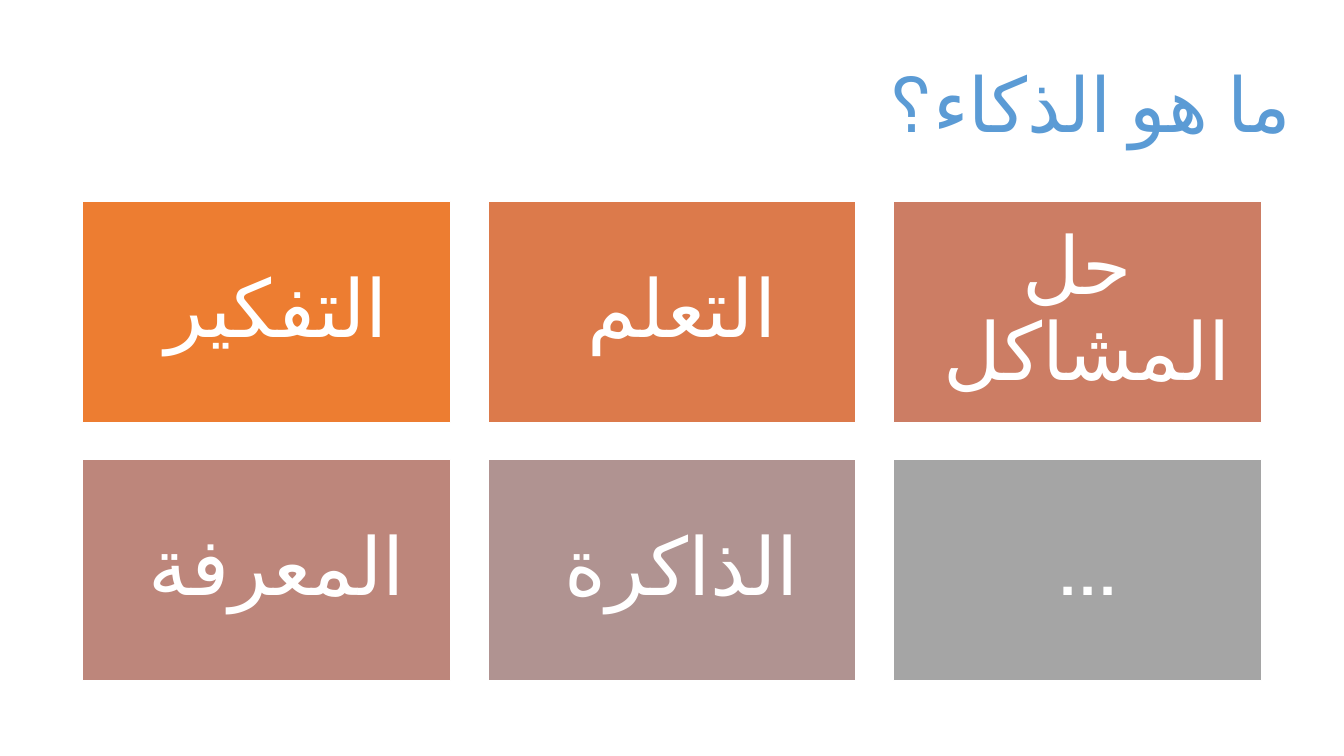
from dataclasses import dataclass

from pptx import Presentation, util as u
from pptx.dml.color import RGBColor
from pptx.enum import lang, shapes, text


@dataclass(frozen=True)
class Theme:
    font: str = "Calibri"
    title_size: int = 54
    card_size: int = 57
    title_color: str = "5B9BD5"
    white: str = "FFFFFF"


@dataclass(frozen=True)
class Grid:
    """Card grid in inches."""
    columns: int = 3
    left: float = 0.82
    top: float = 2.0
    width: float = 3.65
    height: float = 2.19
    gap: float = 0.37

    def cell(self, index):
        row, col = divmod(index, self.columns)
        return [u.Inches(v) for v in (
            self.left + col * (self.width + self.gap),
            self.top + row * (self.height + self.gap),
            self.width, self.height)]


THEME = Theme()
GRID = Grid()
CARDS = [
    ("التفكير ", "ED7D31"),
    ("التعلم ", "DC7A4B"),
    ("حل المشاكل ", "CC7D64"),
    ("المعرفة ", "BD867B"),
    ("الذاكرة ", "B09391"),
    ("... ", "A5A5A5"),
]


def write_rtl(tf, words, *, size, color, align, inset=None):
    """Fill a text frame with one right-to-left paragraph."""
    tf.word_wrap = True
    tf.auto_size = text.MSO_AUTO_SIZE.NONE
    tf.vertical_anchor = text.MSO_ANCHOR.MIDDLE
    if inset is not None:
        tf.margin_left = tf.margin_right = u.Inches(inset)
        tf.margin_top = tf.margin_bottom = u.Inches(inset)
    p = tf.paragraphs[0]
    p.alignment = align
    p.line_spacing = 0.9
    p._p.get_or_add_pPr().set("rtl", "1")
    r = p.add_run()
    r.text = words
    r.font.size = u.Pt(size)
    r.font.name = THEME.font
    r.font.language_id = lang.MSO_LANGUAGE_ID.ARABIC
    r.font.color.rgb = RGBColor.from_string(color)


def add_title(s, words):
    title = s.shapes.title
    title.left, title.top, title.width, title.height = [
        u.Inches(v) for v in (0.43, 0.35, 12.48, 1.45)]
    write_rtl(title.text_frame, words, size=THEME.title_size,
              color=THEME.title_color, align=text.PP_ALIGN.RIGHT)


def add_card(s, index, words, fill):
    sp = s.shapes.add_shape(shapes.MSO_SHAPE.RECTANGLE, *GRID.cell(index))
    sp.shadow.inherit = False
    sp.fill.solid()
    sp.fill.fore_color.rgb = RGBColor.from_string(fill)
    sp.line.color.rgb = RGBColor.from_string(THEME.white)
    sp.line.width = u.Pt(1)
    write_rtl(sp.text_frame, words, size=THEME.card_size, color=THEME.white,
              align=text.PP_ALIGN.CENTER, inset=0.24)


def main():
    prs = Presentation()
    prs.slide_width, prs.slide_height = u.Inches(13.33), u.Inches(7.5)
    s = prs.slides.add_slide(prs.slide_layouts.get_by_name("Title Only"))
    add_title(s, "ما هو الذكاء؟")
    for index, (words, fill) in enumerate(CARDS):
        add_card(s, index, words, fill)
    prs.save("out.pptx")


if __name__ == "__main__":
    main()
